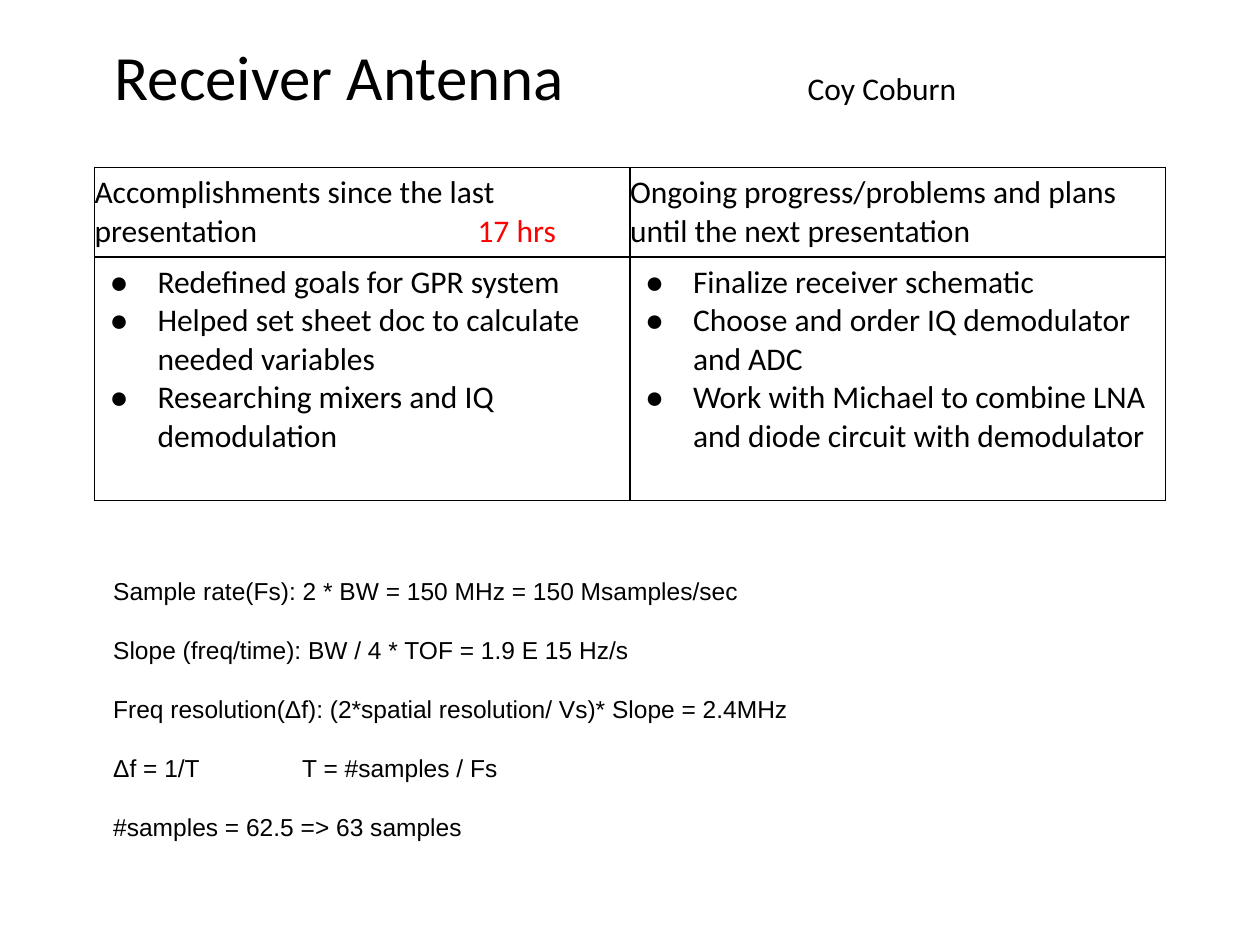
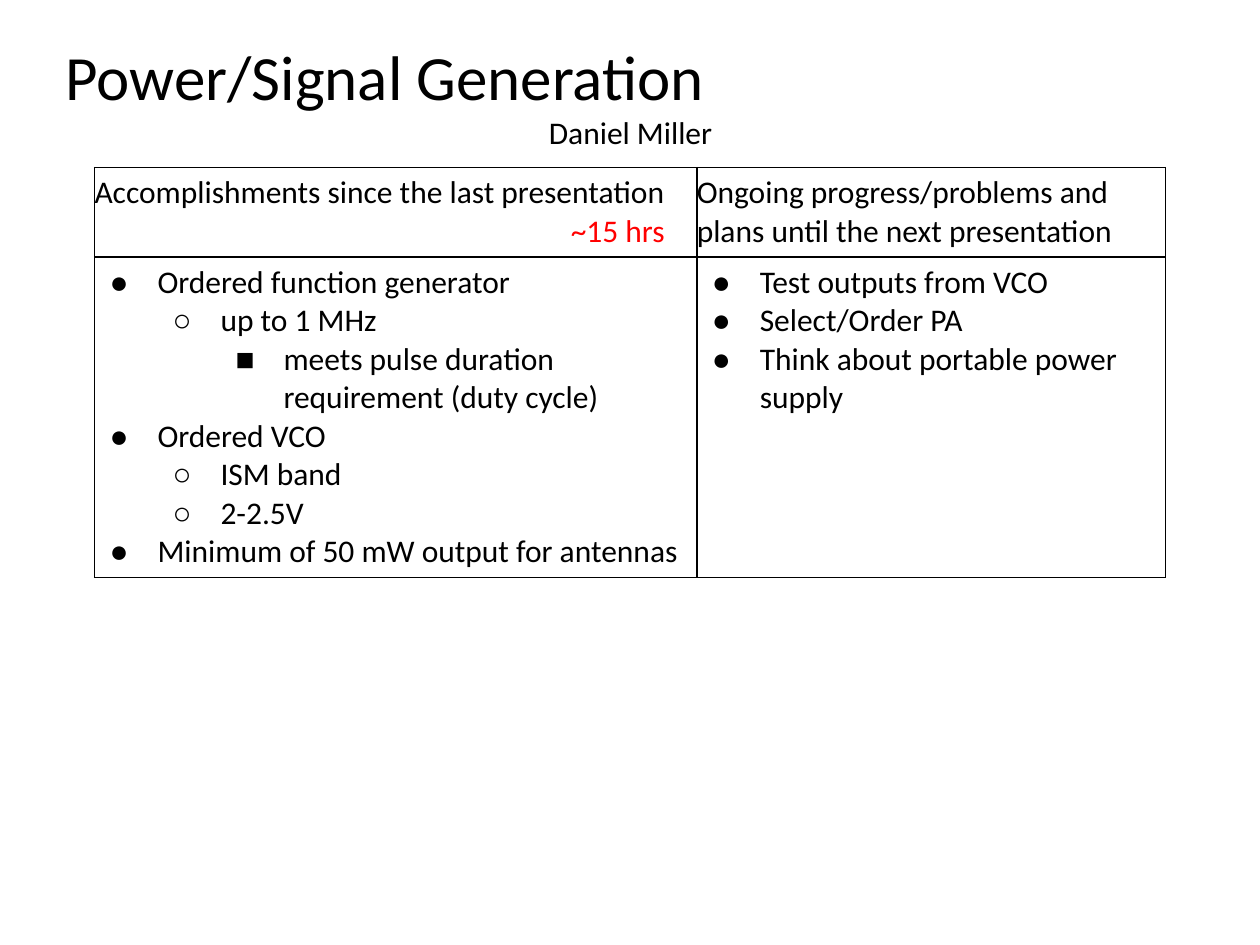
from lxml import etree
from pptx import Presentation
from pptx import util as u
from pptx.dml.color import RGBColor
from pptx.enum import text
from pptx.oxml.ns import qn

BLACK = RGBColor(0x00, 0x00, 0x00)
RED = RGBColor(0xFF, 0x00, 0x00)
HEADING, BODY, NOTE = ("Calibri", 36), ("Calibri", 18), ("Arial", 14)
BULLETS = "●○■"
BULLET_FONT = "Arial"
INDENT = 0.5
HANG = 0.38
TABLE_LEFT, TABLE_TOP, TABLE_WIDTH = 0.75, 1.33, 8.5
HEAD_ROW, BODY_ROW = 0.71, 1.93
PLANS = "Ongoing progress/problems and plans until the next presentation"

REPORTS = [
    {
        "topic": [[("Receiver Antenna", HEADING), ("\t\t\t\tCoy Coburn", BODY)]],
        "topic_indent": 0.39,
        "done_width": 4.25,
        "done_head": [[("Accomplishments since the last presentation", BLACK),
                       ("\t17 hrs", RED)]],
        "hours_tab": 3.04,
        "hours_indent": 0,
        "done": [(0, "Redefined goals for GPR system"),
                 (0, "Helped set sheet doc to calculate needed variables"),
                 (0, "Researching mixers and IQ demodulation")],
        "next": [(0, "Finalize receiver schematic"),
                 (0, "Choose and order IQ demodulator and ADC"),
                 (0, "Work with Michael to combine LNA and diode circuit with demodulator")],
        "formulas": ["Sample rate(Fs): 2 * BW = 150 MHz = 150 Msamples/sec",
                     "Slope (freq/time): BW / 4 * TOF = 1.9 E 15 Hz/s",
                     "Freq resolution(Δf): (2*spatial resolution/ Vs)* Slope = 2.4MHz",
                     "Δf = 1/T\t\tT = #samples / Fs",
                     "#samples = 62.5 => 63 samples"],
    },
    {
        "topic": [[("Power/Signal Generation", HEADING)], [("Daniel Miller", BODY)]],
        "topic_indent": 0,
        "done_width": 4.78,
        "done_head": [[("Accomplishments since the last presentation", BLACK)],
                      [("~15 hrs", RED)]],
        "hours_tab": None,
        "hours_indent": 3.78,
        "done": [(0, "Ordered function generator"),
                 (1, "up to 1 MHz"),
                 (2, "meets pulse duration requirement (duty cycle)"),
                 (0, "Ordered VCO"),
                 (1, "ISM band"),
                 (1, "2-2.5V"),
                 (0, "Minimum of 50 mW output for antennas")],
        "next": [(0, "Test outputs from VCO"),
                 (0, "Select/Order PA"),
                 (0, "Think about portable power supply")],
        "formulas": [],
    },
]


def write(frame, lines):
    """Fill a frame with lines of (text, (font, size), colour) runs; return its paragraphs."""
    for number, runs in enumerate(lines):
        line = frame.paragraphs[0] if number == 0 else frame.add_paragraph()
        line.alignment = text.PP_ALIGN.LEFT
        line.space_before = u.Pt(0)
        for words, (font, size), colour in runs:
            run = line.add_run()
            run.text = words
            for key, value in {"name": font, "size": u.Pt(size), "bold": False}.items():
                setattr(run.font, key, value)
            run.font.color.rgb = colour
    return frame.paragraphs


def indent(line, left, first=0):
    properties = line._p.get_or_add_pPr()
    properties.set("marL", str(u.Inches(left)))
    properties.set("indent", str(u.Inches(first)))
    return properties


deck = Presentation()
deck.slide_width, deck.slide_height = u.Inches(10), u.Inches(7.5)

for report in REPORTS:
    slide = deck.slides.add_slide(deck.slide_layouts[5])

    # Topic and presenter
    topic = slide.shapes.title
    for key, value in {"left": 0.42, "top": 0.25, "width": 9.17, "height": 0.71}.items():
        setattr(topic, key, u.Inches(value))
    topic.text_frame.vertical_anchor = text.MSO_ANCHOR.TOP
    topic.text_frame.auto_size = text.MSO_AUTO_SIZE.NONE
    headings = write(topic.text_frame,
                     [[(words, style, BLACK) for words, style in runs] for runs in report["topic"]])
    indent(headings[0], report["topic_indent"])
    for presenter in headings[1:]:
        presenter.alignment = text.PP_ALIGN.CENTER

    # Progress table
    progress = slide.shapes.add_table(
        2, 2, u.Inches(TABLE_LEFT), u.Inches(TABLE_TOP),
        u.Inches(TABLE_WIDTH), u.Inches(HEAD_ROW + BODY_ROW)).table
    progress.first_row = progress.horz_banding = False
    done_width = report["done_width"]
    for column, width in zip(progress.columns, (done_width, TABLE_WIDTH - done_width)):
        column.width = u.Inches(width)
    for row, height in zip(progress.rows, (HEAD_ROW, BODY_ROW)):
        row.height = u.Inches(height)
    for cell in progress.iter_cells():
        cell.margin_left = cell.margin_right = 0
        cell.margin_top = cell.margin_bottom = u.Inches(0.05)
        for side in ("lnL", "lnR", "lnT", "lnB"):
            border = etree.SubElement(cell._tc.get_or_add_tcPr(), qn(f"a:{side}"), w=str(u.Pt(1)))
            paint = etree.SubElement(border, qn("a:solidFill"))
            etree.SubElement(paint, qn("a:srgbClr"), val=str(BLACK))
        cell.fill.background()

    hours = write(progress.cell(0, 0).text_frame,
                  [[(words, BODY, colour) for words, colour in runs]
                   for runs in report["done_head"]])[-1]
    if report["hours_tab"]:
        stops = etree.SubElement(hours._p.get_or_add_pPr(), qn("a:tabLst"))
        etree.SubElement(stops, qn("a:tab"), pos=str(u.Inches(report["hours_tab"])), algn="l")
    else:
        indent(hours, report["hours_indent"])
    write(progress.cell(0, 1).text_frame, [[(PLANS, BODY, BLACK)]])

    for column, part in enumerate(("done", "next")):
        lines = write(progress.cell(1, column).text_frame,
                      [[(words, BODY, BLACK)] for _, words in report[part]])
        for line, (level, _) in zip(lines, report[part]):
            line.level = level
            properties = indent(line, INDENT * (level + 1), -HANG)
            colour = etree.SubElement(properties, qn("a:buClr"))
            etree.SubElement(colour, qn("a:srgbClr"), val=str(BLACK))
            etree.SubElement(properties, qn("a:buFont"), typeface=BULLET_FONT)
            etree.SubElement(properties, qn("a:buChar"), char=BULLETS[level])

    # Sampling formulas
    if report["formulas"]:
        formulas = slide.shapes.add_textbox(
            u.Inches(0.8), u.Inches(4.47), u.Inches(5.85), u.Inches(2.5)).text_frame
        formulas.word_wrap = True
        for side in ("left", "top", "right", "bottom"):
            setattr(formulas, f"margin_{side}", u.Inches(0.1))
        for formula in write(formulas, [[(words, NOTE, BLACK)] for words in report["formulas"]]):
            formula.space_after = u.Pt(16.9)

deck.save("out.pptx")
